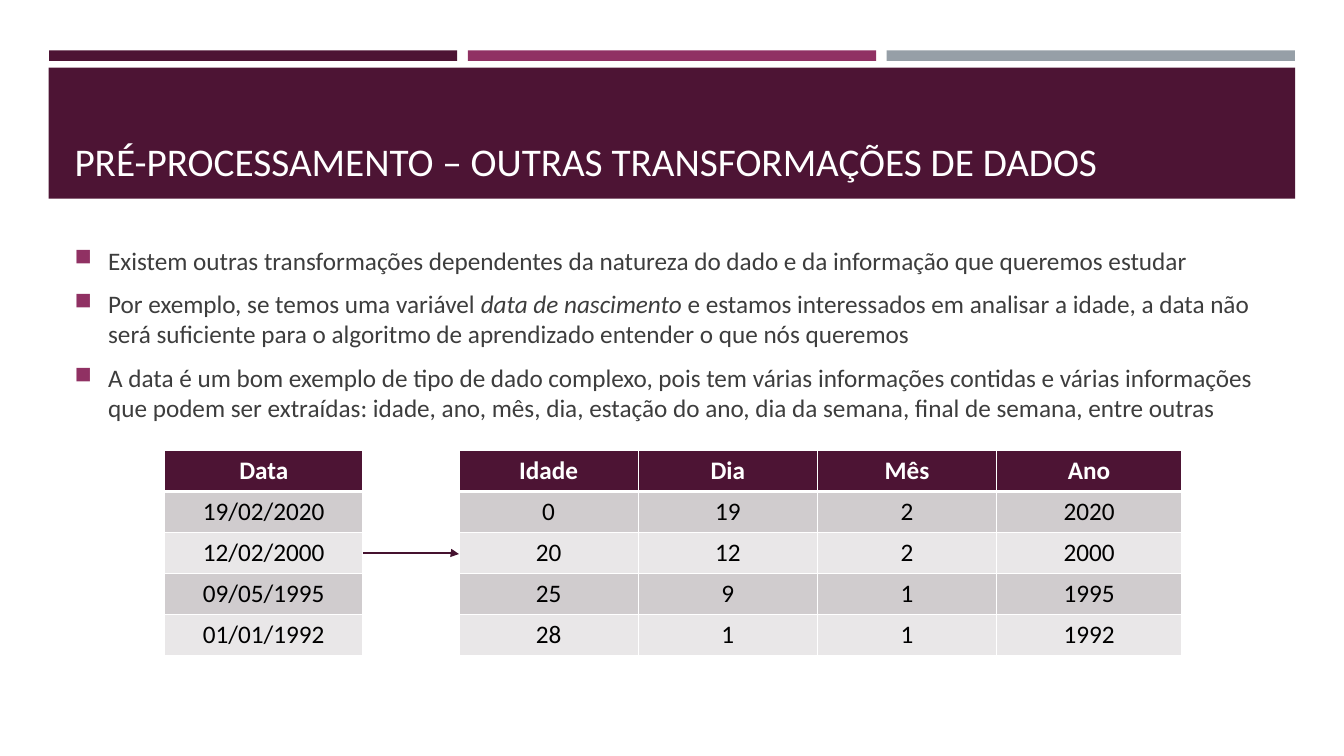
from dataclasses import dataclass

from lxml import etree
from pptx import Presentation
from pptx import util as u
from pptx.dml.color import RGBColor
from pptx.enum import shapes, text
from pptx.oxml import ns

COLUMNS, ROWS = 80, 45


@dataclass(frozen=True)
class Theme:
    font: str = "Calibri"
    title_size: int = 28
    body_size: int = 18
    primary: str = "4D1434"
    accent: str = "903163"
    neutral: str = "969FA7"
    arrow: str = "45122F"
    light: str = "FFFFFF"
    body: str = "3D3D3D"
    cell_text: str = "000000"
    bands: tuple = ("D0CCCE", "E9E7E8")


def add_element(parent, tag, **attributes):
    return etree.SubElement(parent, ns.qn(tag), attributes)


class SlideBuilder:
    def __init__(self, presentation, theme):
        self.theme = theme
        self.cell_width = presentation.slide_width / COLUMNS
        self.cell_height = presentation.slide_height / ROWS
        self.slide = presentation.slides.add_slide(presentation.slide_layouts[6])

    def x(self, columns):
        return u.Emu(round(columns * self.cell_width))

    def y(self, rows):
        return u.Emu(round(rows * self.cell_height))

    def area(self, left, top, width, height):
        return self.x(left), self.y(top), self.x(width), self.y(height)

    def style(self, font, size, color, bold=False):
        font.name = self.theme.font
        font.size = u.Pt(size)
        font.bold = bold
        font.color.rgb = RGBColor.from_string(color)

    def bar(self, left, top, width, height, color):
        shape = self.slide.shapes.add_shape(
            shapes.MSO_SHAPE.RECTANGLE, *self.area(left, top, width, height))
        shape.shadow.inherit = False
        shape.fill.solid()
        shape.fill.fore_color.rgb = RGBColor.from_string(color)
        shape.line.fill.background()

    def text_box(self, left, top, width, height, anchor):
        frame = self.slide.shapes.add_textbox(
            *self.area(left, top, width, height)).text_frame
        frame.word_wrap = True
        frame.vertical_anchor = anchor
        return frame

    def title(self, wording, *area):
        frame = self.text_box(*area, text.MSO_ANCHOR.BOTTOM)
        frame.text = wording
        self.style(frame.paragraphs[0].runs[0].font, self.theme.title_size, self.theme.light)

    def bullets(self, items, *area):
        frame = self.text_box(*area, text.MSO_ANCHOR.TOP)
        for index, item in enumerate(items):
            paragraph = frame.add_paragraph() if index else frame.paragraphs[0]
            self.bullet_mark(paragraph)
            if index:
                paragraph.space_before = u.Pt(3.6)
            paragraph.space_after = u.Pt(6)
            for wording, italic in item:
                run = paragraph.add_run()
                run.text = wording
                self.style(run.font, self.theme.body_size, self.theme.body)
                run.font.italic = italic

    def bullet_mark(self, paragraph):
        properties = paragraph._p.get_or_add_pPr()
        indent = self.x(2)
        properties.set("marL", str(indent))
        properties.set("indent", str(-indent))
        color = add_element(properties, "a:buClr")
        add_element(color, "a:srgbClr", val=self.theme.accent)
        add_element(properties, "a:buSzPct", val="92000")
        add_element(properties, "a:buChar", char="■")

    def table(self, records, left, top, widths, row_height):
        table = self.slide.shapes.add_table(
            len(records), len(widths),
            *self.area(left, top, sum(widths), row_height * len(records))).table
        for column, width in zip(table.columns, widths):
            column.width = self.x(width)
        for row_index, record in enumerate(records):
            table.rows[row_index].height = self.y(row_height)
            for column_index, wording in enumerate(record):
                self.cell(table.cell(row_index, column_index), wording, row_index)

    def cell(self, cell, wording, row_index):
        header = row_index == 0
        fill = self.theme.primary if header else self.theme.bands[(row_index - 1) % 2]
        color = self.theme.light if header else self.theme.cell_text
        cell.text = wording
        paragraph = cell.text_frame.paragraphs[0]
        paragraph.alignment = text.PP_ALIGN.CENTER
        self.style(paragraph.runs[0].font, self.theme.body_size, color, header)
        properties = cell._tc.get_or_add_tcPr()
        for side in "LRTB":
            thick = (side, row_index) in (("B", 0), ("T", 1))
            border = add_element(properties, f"a:ln{side}", w=str(u.Pt(3 if thick else 1)))
            add_element(add_element(border, "a:solidFill"), "a:srgbClr", val=self.theme.light)
        cell.fill.solid()
        cell.fill.fore_color.rgb = RGBColor.from_string(fill)

    def arrow(self, left, top, right, bottom, bend):
        connector = self.slide.shapes.add_connector(
            shapes.MSO_CONNECTOR.ELBOW,
            self.x(left), self.y(top), self.x(right), self.y(bottom))
        connector.line.color.rgb = RGBColor.from_string(self.theme.arrow)
        connector.line.width = u.Pt(1)
        properties = connector._element.spPr
        guides = properties.find(".//" + ns.qn("a:avLst"))
        add_element(guides, "a:gd", name="adj1", fmla=f"val {round(bend * 100000)}")
        add_element(properties.find(ns.qn("a:ln")), "a:tailEnd", type="triangle")
        add_element(properties, "a:effectLst")


def main():
    presentation = Presentation()
    presentation.slide_width = u.Inches(13.33)
    presentation.slide_height = u.Inches(7.5)
    theme = Theme()
    builder = SlideBuilder(presentation, theme)

    for index, color in enumerate((theme.primary, theme.accent, theme.neutral)):
        builder.bar(2.92 + index * 24.93, 3, 24.3, 0.63, color)
    builder.bar(2.9, 4.03, 74.2, 7.8, theme.primary)
    builder.title("PRÉ-PROCESSAMENTO – OUTRAS TRANSFORMAÇÕES DE DADOS",
                  3.85, 4.62, 72.4, 6.66)

    builder.bullets([
        [("Existem outras transformações dependentes da natureza do dado e da "
          "informação que queremos estudar", False)],
        [("Por exemplo, se temos uma variável ", False),
         ("data de nascimento ", True),
         ("e estamos interessados em analisar a idade, a data não será suficiente "
          "para o algoritmo de aprendizado entender o que nós queremos", False)],
        [("A data é um bom exemplo de tipo de dado complexo, pois tem várias "
          "informações contidas e várias informações que podem ser extraídas: idade, "
          "ano, mês, dia, estação do ano, dia da semana, final de semana, entre outras",
          False)],
    ], 3.85, 14.28, 72.4, 24.12)

    table_top, row_height = 26.82, 2.44
    dates_left, dates_width, parts_left = 9.8, 11.8, 27.32
    dates = ["Data", "19/02/2020", "12/02/2000", "09/05/1995", "01/01/1992"]
    parts = [
        ("Idade", "Dia", "Mês", "Ano"),
        ("0", "19", "2", "2020"),
        ("20", "12", "2", "2000"),
        ("25", "9", "1", "1995"),
        ("28", "1", "1", "1992"),
    ]
    builder.table([(date,) for date in dates], dates_left, table_top,
                  [dates_width], row_height)
    builder.table(parts, parts_left, table_top, [10.67] * 3 + [11], row_height)
    arrow_top = table_top + 2.5 * row_height
    builder.arrow(dates_left + dates_width, arrow_top, parts_left, arrow_top + 0.06, 0.99)

    presentation.save("out.pptx")


if __name__ == "__main__":
    main()
